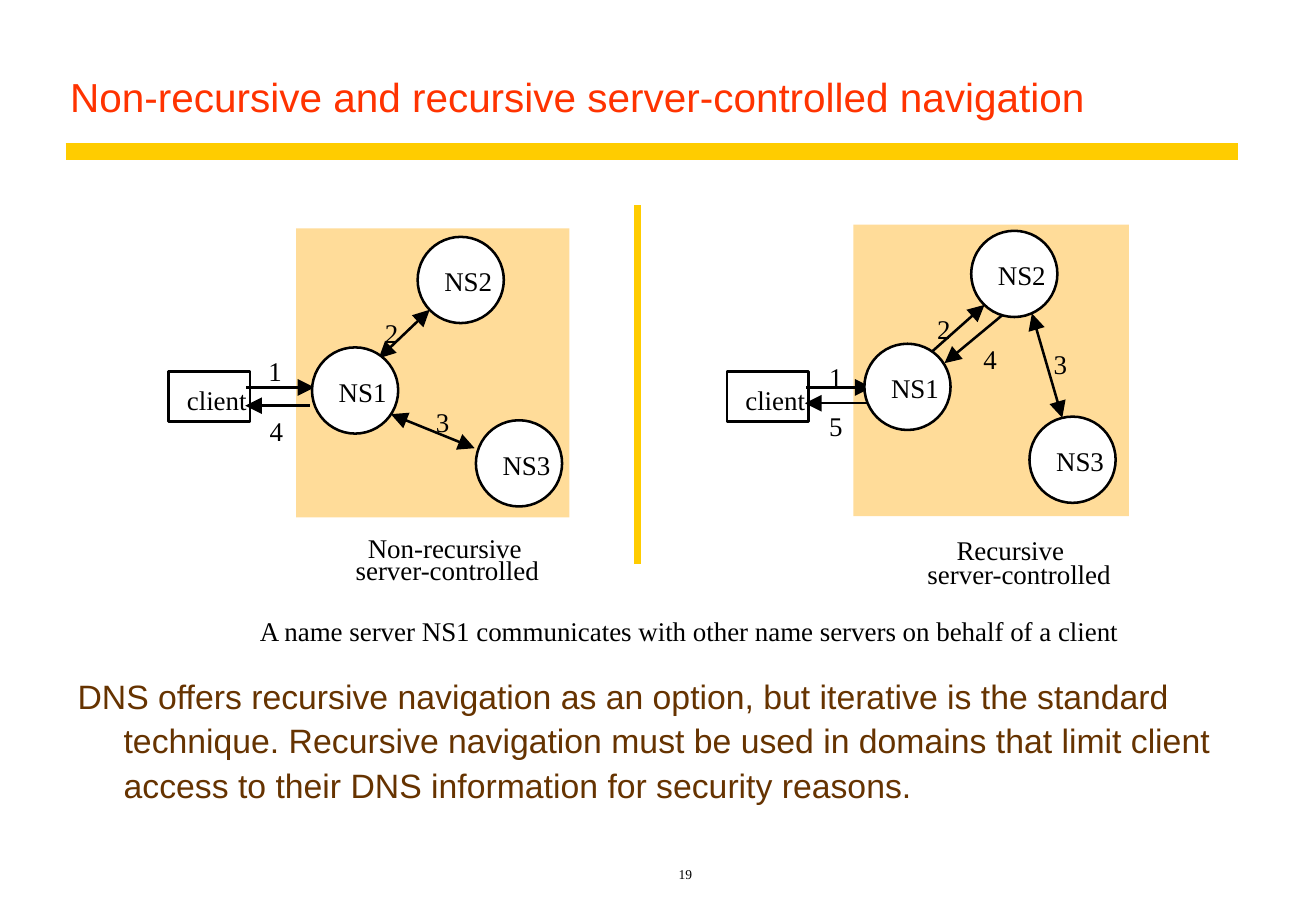
from lxml import etree
from pptx import Presentation
from pptx.dml.color import RGBColor
from pptx.enum.shapes import MSO_CONNECTOR, MSO_SHAPE
from pptx.enum.text import MSO_ANCHOR, MSO_AUTO_SIZE, PP_ALIGN
from pptx.oxml.ns import qn
from pptx.util import Inches, Pt

SERIF, SANS = "Times New Roman", "Arial"
BLACK, WHITE, GOLD, PEACH = "000000", "FFFFFF", "FFCC00", "FFDC99"
RED, BROWN = "FF3300", "663300"
NODE = 0.71
LABEL_HEIGHT = 0.27

NON_RECURSIVE = {
    "zone": (2.44, 1.88, 2.25, 2.38),
    "client": (1.39, 3.06),
    "nodes": {"NS2": (3.44, 1.95), "NS1": (2.57, 2.86), "NS3": (3.92, 3.46)},
    # start, end, whether both ends have a head
    "arrows": [
        ((2.03, 3.19), (2.59, 3.19), False),
        ((3.12, 2.95), (3.54, 2.55), True),
        ((3.22, 3.41), (3.91, 3.69), True),
        ((2.55, 3.34), (2.02, 3.34), False),
    ],
    "steps": [("1", 2.21, 2.92), ("2", 3.17, 2.61),
              ("3", 3.59, 3.34), ("4", 2.22, 3.41)],
    "caption": [("Non-recursive", 3.03, 4.38, 1.32),
                ("server-controlled", 2.93, 4.56, 1.56)],
}

RECURSIVE = {
    "zone": (7.03, 1.85, 2.27, 2.4),
    "client": (5.99, 3.06),
    "nodes": {"NS2": (8, 1.9), "NS1": (7.12, 2.83), "NS3": (8.48, 3.43)},
    "arrows": [
        ((6.64, 3.19), (7.18, 3.19), False),
        ((7.66, 2.91), (8.11, 2.51), False),
        ((8.31, 2.55), (7.78, 2.99), False),
        ((8.75, 3.44), (8.5, 2.58), True),
        ((7.16, 3.32), (6.63, 3.32), False),
    ],
    "steps": [("1", 6.83, 2.97), ("2", 7.72, 2.57), ("3", 8.68, 2.86),
              ("4", 8.1, 2.82), ("5", 6.83, 3.37)],
    "caption": [("Recursive", 7.88, 4.39, 0.94),
                ("server-controlled", 7.64, 4.59, 1.56)],
}


def rgb(value):
    return RGBColor.from_string(value)


def add_text(shapes, text, box, size, font, color):
    sp = shapes.add_textbox(*map(Inches, box))
    tf = sp.text_frame
    tf.word_wrap = True
    p = tf.paragraphs[0]
    p.text = text
    p.font.size = Pt(size)
    p.font.name = font
    p.font.color.rgb = rgb(color)
    return tf, p


def add_label(shapes, text, x, y, width):
    """Single-line diagram text without margins."""
    tf, _ = add_text(shapes, text, (x, y, width, LABEL_HEIGHT), 16, SERIF, BLACK)
    tf.margin_left = tf.margin_right = tf.margin_top = tf.margin_bottom = 0
    tf.word_wrap = False
    tf.auto_size = MSO_AUTO_SIZE.SHAPE_TO_FIT_TEXT


def add_box(shapes, kind, box, fill=None, outlined=True):
    sp = shapes.add_shape(kind, *map(Inches, box))
    sp.shadow.inherit = False
    if fill:
        sp.fill.solid()
        sp.fill.fore_color.rgb = rgb(fill)
    else:
        sp.fill.background()
    if outlined:
        sp.line.color.rgb = rgb(BLACK)
        sp.line.width = Pt(1.5)
    else:
        sp.line.fill.background()


def add_line(shapes, start, end, color, width):
    line = shapes.add_connector(MSO_CONNECTOR.STRAIGHT,
                                *map(Inches, (*start, *end)))
    line.line.color.rgb = rgb(color)
    line.line.width = Pt(width)
    etree.SubElement(line._element.spPr, qn("a:effectLst"))
    return line


def add_arrow(shapes, start, end, both_ends):
    line = add_line(shapes, start, end, BLACK, 1.5)
    ln = line.line._get_or_add_ln()
    for tag in ("a:headEnd", "a:tailEnd") if both_ends else ("a:tailEnd",):
        etree.SubElement(ln, qn(tag), type="triangle", w="lg", len="lg")


def add_diagram(slide, diagram):
    shapes = slide.shapes.add_group_shape().shapes
    add_box(shapes, MSO_SHAPE.RECTANGLE, diagram["zone"], PEACH, outlined=False)
    x, y = diagram["client"]
    add_box(shapes, MSO_SHAPE.RECTANGLE, (x, y, 0.67, 0.41))
    add_label(shapes, "client", x + 0.15, y + 0.1, 0.56)
    for start, end, both_ends in diagram["arrows"]:
        add_arrow(shapes, start, end, both_ends)
    for number, x, y in diagram["steps"]:
        add_label(shapes, number, x, y, 0.15)
    for name, (x, y) in diagram["nodes"].items():
        add_box(shapes, MSO_SHAPE.OVAL, (x, y, NODE, NODE), WHITE)
        add_label(shapes, name, x + 0.22, y + 0.23, 0.46)
    for text, x, y, width in diagram["caption"]:
        add_label(shapes, text, x, y, width)


def add_title(slide, text):
    tf, p = add_text(slide.shapes, text, (0.48, 0.25, 9.72, 0.8), 24, SANS, RED)
    tf.vertical_anchor = MSO_ANCHOR.BOTTOM
    p.line_spacing = 0.9
    add_line(slide.shapes, (0.54, 1.25), (10.2, 1.25), GOLD, 10)


def add_body(slide, text):
    _, p = add_text(slide.shapes, text, (0.54, 5.48, 9.69, 1.35), 20, SANS, BROWN)
    p.line_spacing = 1.1
    p.space_before = Pt(5)
    pPr = p._p.get_or_add_pPr()
    pPr.set("marL", str(Inches(0.38)))
    pPr.set("indent", str(-Inches(0.38)))


def add_page_number(slide, number):
    tf, p = add_text(slide.shapes, number, (2.35, 7, 6.59, 0.31), 8, SERIF, BLACK)
    tf.vertical_anchor = MSO_ANCHOR.BOTTOM
    p.alignment = PP_ALIGN.CENTER


def main():
    prs = Presentation()
    prs.slide_width = Inches(10.84)
    prs.slide_height = Inches(7.5)
    s = prs.slides.add_slide(prs.slide_layouts[6])
    add_title(s, "Non-recursive and recursive server-controlled navigation")
    for diagram in (NON_RECURSIVE, RECURSIVE):
        add_diagram(s, diagram)
    add_line(s.shapes, (5.25, 1.69), (5.25, 4.64), GOLD, 4.5)
    add_label(s.shapes, "A name server NS1 communicates with other name servers "
              "on behalf of a client", 2.14, 5.06, 7.09)
    add_body(s, "DNS offers recursive navigation as an option, but iterative is "
             "the standard technique. Recursive navigation must be used in domains "
             "that limit client access to their DNS information for security reasons.")
    add_page_number(s, "19")
    prs.save("out.pptx")


if __name__ == "__main__":
    main()
